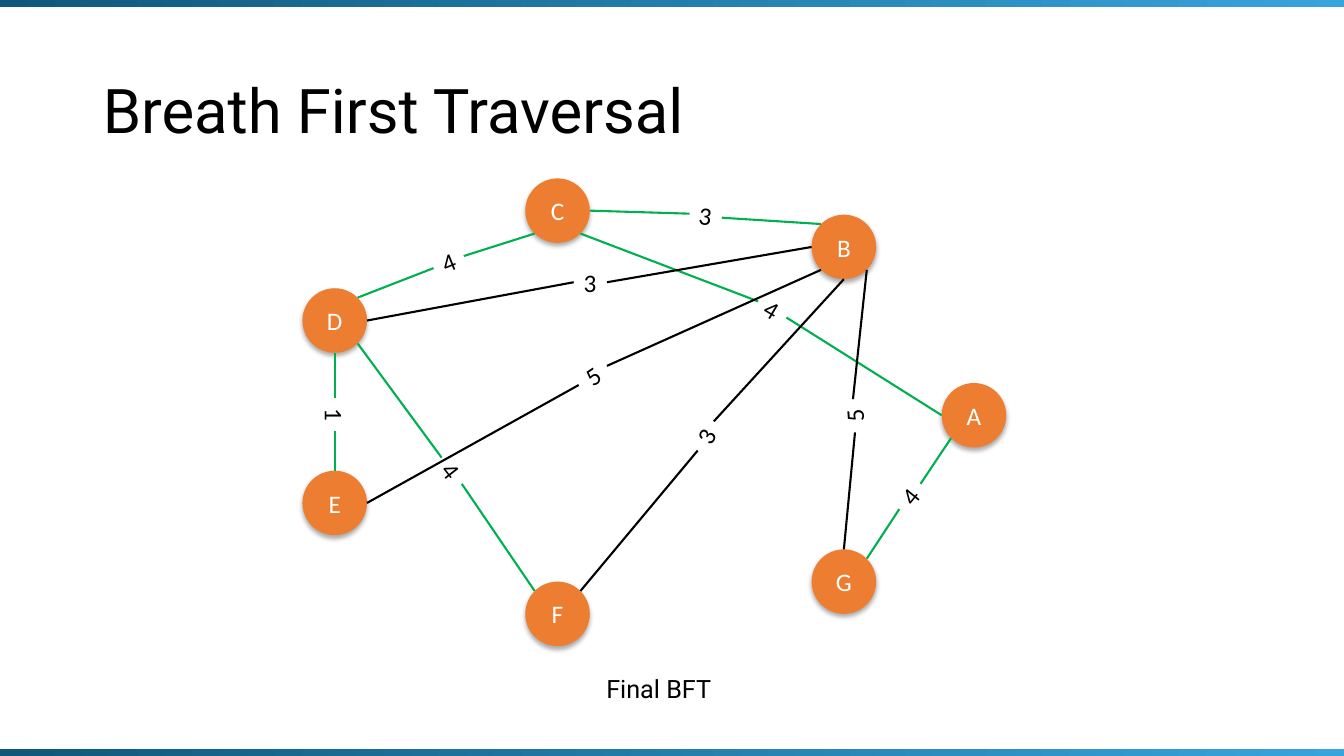
from lxml import etree
from pptx import Presentation
from pptx.dml.color import RGBColor
from pptx.enum.shapes import MSO_CONNECTOR, MSO_SHAPE
from pptx.enum.text import MSO_ANCHOR, MSO_AUTO_SIZE, PP_ALIGN
from pptx.oxml import parse_xml
from pptx.oxml.ns import nsdecls, qn
from pptx.util import Inches, Pt

TITLE = "Breath First Traversal"
CAPTION = "Final BFT"

COLORS = {
    "text": "000000", "node": "ED7D31", "node_text": "FFFFFF",
    "tree": "00B050", "other": "000000",
    "bar_start": "10577A", "bar_end": "38A4DC",
}

# Node centres
NODES = {
    "C": (5.53, 2.09), "B": (8.37, 2.45), "A": (9.66, 4.12), "G": (8.37, 5.77),
    "F": (5.53, 6.09), "E": (3.32, 4.99), "D": (3.32, 3.18),
}

# (node, side), line end before the weight, weight, its rotation,
# line start after the weight, (node, side), kind
EDGES = [
    ("C", "sw", (4.60, 2.54), "4", 338, (4.30, 2.66), "D", "ne", "tree"),
    ("C", "e", (6.84, 2.12), "3", 6.7, (7.16, 2.16), "B", "nw", "tree"),
    ("C", "se", (7.52, 2.99), "4", 30.6, (7.80, 3.15), "A", "w", "tree"),
    ("A", "sw", (9.13, 4.80), "4", 309.1, (8.92, 5.05), "G", "ne", "tree"),
    ("D", "s", (3.32, 3.95), "1", 90, (3.32, 4.28), "E", "n", "tree"),
    ("D", "se", (4.38, 4.54), "4", 52.2, (4.58, 4.80), "F", "nw", "tree"),
    ("B", "w", (6.02, 2.80), "3", 0, (5.69, 2.80), "D", "e", "other"),
    ("B", "sw", (6.02, 3.63), "5", 326.3, (5.74, 3.82), "E", "e", "other"),
    ("B", "s", (7.08, 4.18), "3", 298.3, (6.92, 4.47), "F", "ne", "other"),
    ("B", "se", (8.46, 3.96), "5", 266.1, (8.48, 4.29), "G", "n", "other"),
]

WIDTH, HEIGHT = 13.33, 7.5
RADIUS = 0.32
DIAGONAL = RADIUS * 0.71
SIDES = {
    "n": (0, -RADIUS), "s": (0, RADIUS), "e": (RADIUS, 0), "w": (-RADIUS, 0),
    "ne": (DIAGONAL, -DIAGONAL), "nw": (-DIAGONAL, -DIAGONAL),
    "se": (DIAGONAL, DIAGONAL), "sw": (-DIAGONAL, DIAGONAL),
}
SHADOW = (
    f'<a:outerShdw {nsdecls("a")} blurRad="{Pt(3.5)}" dist="{Pt(2.2)}" dir="5400000" '
    'rotWithShape="0"><a:srgbClr val="000000"><a:alpha val="32000"/></a:srgbClr>'
    '</a:outerShdw>'
)


def color(name):
    return RGBColor.from_string(COLORS[name])


def style_text(paragraph, size, font, color_name):
    for run in paragraph.runs:
        run.font.size = Pt(size)
        run.font.name = font
        run.font.color.rgb = color(color_name)


def add_bar(slide, top):
    bar = slide.shapes.add_shape(
        MSO_SHAPE.RECTANGLE, 0, Inches(top), Inches(WIDTH), Inches(0.08))
    bar.shadow.inherit = False
    bar.line.fill.background()
    bar.fill.gradient()
    bar.fill.gradient_angle = 0
    for stop, name in zip(bar.fill.gradient_stops, ("bar_start", "bar_end")):
        stop.color.rgb = color(name)


def add_node(slide, name, x, y):
    node = slide.shapes.add_shape(
        MSO_SHAPE.FLOWCHART_CONNECTOR, Inches(x - RADIUS), Inches(y - RADIUS),
        Inches(2 * RADIUS), Inches(2 * RADIUS))
    node.fill.solid()
    node.fill.fore_color.rgb = color("node")
    node.line.fill.background()
    node.shadow.inherit = False
    node.element.spPr.find(qn("a:effectLst")).append(parse_xml(SHADOW))
    node.text_frame.text = name
    node.text_frame.vertical_anchor = MSO_ANCHOR.MIDDLE
    paragraph = node.text_frame.paragraphs[0]
    paragraph.alignment = PP_ALIGN.CENTER
    style_text(paragraph, 18, "Calibri", "node_text")


def add_label(slide, text, x, y, width, font, rotation=0):
    """Add a one-line label centred on (x, y)."""
    height = 0.4
    label = slide.shapes.add_textbox(
        Inches(x - width / 2), Inches(y - height / 2), Inches(width), Inches(height))
    label.rotation = rotation
    label.text_frame.text = text
    label.text_frame.word_wrap = False
    label.text_frame.auto_size = MSO_AUTO_SIZE.SHAPE_TO_FIT_TEXT
    style_text(label.text_frame.paragraphs[0], 18, font, "text")


def add_line(slide, start, end, kind):
    line = slide.shapes.add_connector(
        MSO_CONNECTOR.STRAIGHT, *(Inches(value) for value in (*start, *end)))
    line.line.color.rgb = color(kind)
    line.line.width = Pt(1.5)
    etree.SubElement(line.element.spPr, qn("a:effectLst"))


def side_point(name, side):
    (x, y), (dx, dy) = NODES[name], SIDES[side]
    return x + dx, y + dy


def main():
    presentation = Presentation()
    presentation.slide_width = Inches(WIDTH)
    presentation.slide_height = Inches(HEIGHT)
    slide = presentation.slides.add_slide(presentation.slide_layouts[5])

    # Title
    title = slide.shapes.title
    title.left, title.top = Inches(0.92), Inches(0.4)
    title.width, title.height = Inches(11.5), Inches(1.45)
    title.text_frame.text = TITLE
    title.text_frame.vertical_anchor = MSO_ANCHOR.MIDDLE
    paragraph = title.text_frame.paragraphs[0]
    paragraph.alignment = PP_ALIGN.LEFT
    paragraph.line_spacing = 0.9
    style_text(paragraph, 44, "Roboto", "text")

    # Bars along the top and bottom edges
    for top in (-0.01, HEIGHT - 0.07):
        add_bar(slide, top)

    # Graph: nodes, then edges with the weight in the gap
    for name, (x, y) in NODES.items():
        add_node(slide, name, x, y)
    for first, side1, gap1, weight, rotation, gap2, second, side2, kind in EDGES:
        x, y = ((a + b) / 2 for a, b in zip(gap1, gap2))
        add_label(slide, weight, x, y, 0.33, "Calibri", rotation)
        add_line(slide, side_point(first, side1), gap1, kind)
        add_line(slide, side_point(second, side2), gap2, kind)

    # Caption
    add_label(slide, CAPTION, 6.54, 6.83, 1.25, "Roboto")

    presentation.save("out.pptx")


if __name__ == "__main__":
    main()
